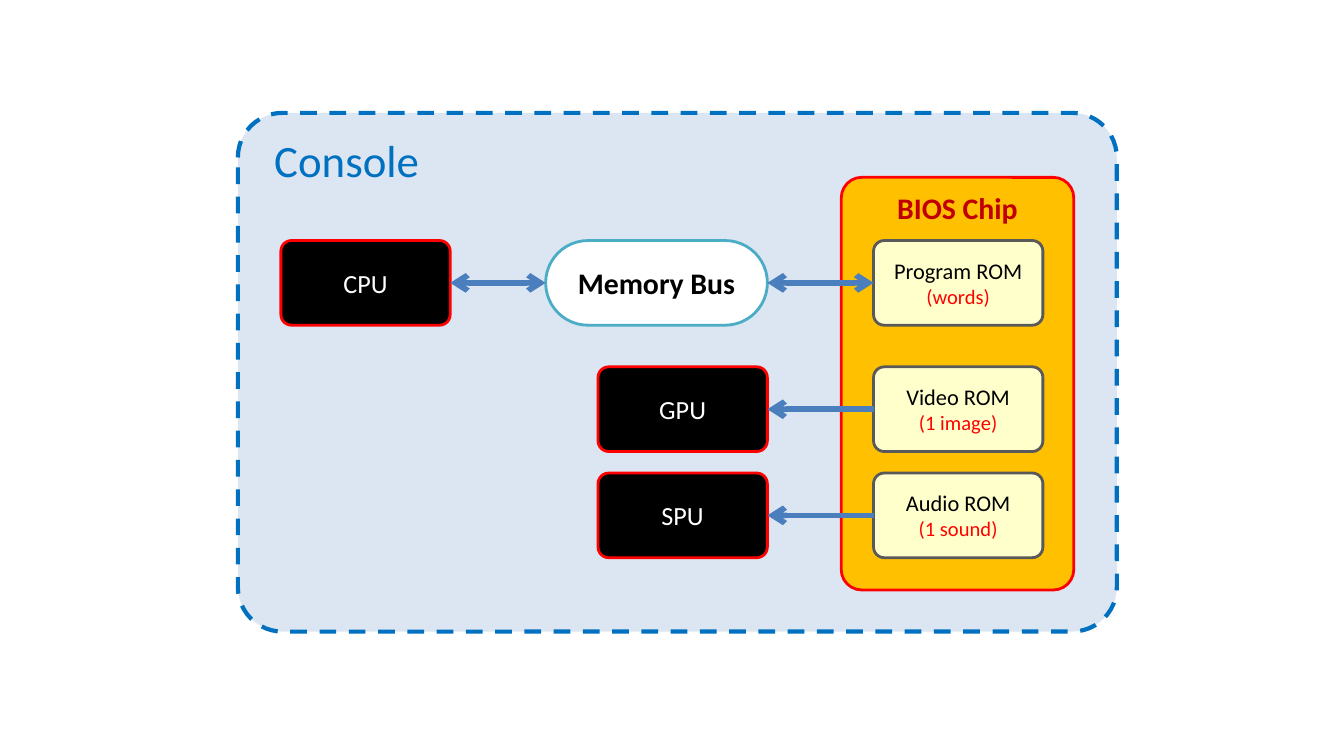
"""Build a slide showing how a console's processors reach the ROMs on its BIOS chip."""
import pptx
import pptx.dml.color
import pptx.enum.dml
import pptx.enum.shapes
import pptx.enum.text
import pptx.oxml
import pptx.oxml.ns
import pptx.util

Inches = pptx.util.Inches
RGBColor = pptx.dml.color.RGBColor
Anchor = pptx.enum.text.MSO_ANCHOR
Align = pptx.enum.text.PP_ALIGN

BLACK = RGBColor(0x00, 0x00, 0x00)
WHITE = RGBColor(0xFF, 0xFF, 0xFF)
RED = RGBColor(0xFF, 0x00, 0x00)
DARK_RED = RGBColor(0xC0, 0x00, 0x00)
BLUE = RGBColor(0x00, 0x70, 0xC0)
PALE_BLUE = RGBColor(0xDC, 0xE6, 0xF2)
ARROW_BLUE = RGBColor(0x4B, 0x7E, 0xBC)
TEAL = RGBColor(0x4B, 0xAC, 0xC6)
GOLD = RGBColor(0xFF, 0xC0, 0x00)
CREAM = RGBColor(0xFF, 0xFF, 0xCC)
GRAY = RGBColor(0x59, 0x59, 0x59)

SLIDE_WIDTH = 10
SLIDE_HEIGHT = SLIDE_WIDTH * 9 / 16
LEFT_SIDE, RIGHT_SIDE = 1, 3
BOX_WIDTH, BOX_HEIGHT = 1.26, 0.63
BUS_ROW, VIDEO_ROW, AUDIO_ROW = 1.79, 2.73, 3.52
CPU_LEFT, UNIT_LEFT, ROM_LEFT = 2.09, 4.45, 6.5


class Diagram:
    font_name = "Calibri"

    def __init__(self, slide):
        self.slide = slide

    def box(self, left, top, width, height, rounding, fill, outline, lines,
            weight=1.5, anchor=Anchor.MIDDLE, align=Align.CENTER, bold=False):
        shape = self.slide.shapes.add_shape(
            pptx.enum.shapes.MSO_SHAPE.ROUNDED_RECTANGLE,
            Inches(left), Inches(top), Inches(width), Inches(height))
        shape.adjustments[0] = rounding
        shape.shadow.inherit = False
        shape.fill.solid()
        shape.fill.fore_color.rgb = fill
        shape.line.color.rgb = outline
        shape.line.width = pptx.util.Pt(weight)
        frame = shape.text_frame
        frame.word_wrap = True
        frame.vertical_anchor = anchor
        for index, (text, size, color) in enumerate(lines):
            paragraph = frame.add_paragraph() if index else frame.paragraphs[0]
            paragraph.alignment = align
            run = paragraph.add_run()
            run.text = text
            run.font.name = self.font_name
            run.font.size = pptx.util.Pt(size)
            run.font.bold = bold
            run.font.color.rgb = color
        return shape

    def processor(self, left, top, name):
        return self.box(left, top, BOX_WIDTH, BOX_HEIGHT, 0.125, BLACK, RED,
                        [(name, 14, WHITE)])

    def rom(self, top, name, content):
        return self.box(ROM_LEFT, top, BOX_WIDTH, BOX_HEIGHT, 0.125, CREAM, GRAY,
                        [(name, 12, BLACK), (content, 11, RED)])

    def arrow(self, start, start_side, end, end_side, ends=("tailEnd",)):
        connector = self.slide.shapes.add_connector(
            pptx.enum.shapes.MSO_CONNECTOR.STRAIGHT, 0, 0, 0, 0)
        connector.begin_connect(start, start_side)
        connector.end_connect(end, end_side)
        connector.line.color.rgb = ARROW_BLUE
        connector.line.width = pptx.util.Pt(3)
        properties = connector._element.spPr
        line = properties.find(pptx.oxml.ns.qn("a:ln"))
        namespace = pptx.oxml.ns.nsdecls("a")
        for end_name in ends:
            line.append(pptx.oxml.parse_xml(f'<a:{end_name} {namespace} type="arrow"/>'))
        properties.append(pptx.oxml.parse_xml(f"<a:effectLst {namespace}/>"))


def main():
    presentation = pptx.Presentation()
    presentation.slide_width = Inches(SLIDE_WIDTH)
    presentation.slide_height = Inches(SLIDE_HEIGHT)
    diagram = Diagram(presentation.slides.add_slide(presentation.slide_layouts[6]))

    console = diagram.box(1.77, 0.84, 6.54, 3.86, 0.086, PALE_BLUE, BLUE,
                          [(" Console", 24, BLUE)], weight=2.25,
                          anchor=Anchor.TOP, align=Align.LEFT)
    console.line.dash_style = pptx.enum.dml.MSO_LINE.DASH
    diagram.box(6.26, 1.32, 1.73, 3.07, 0.088, GOLD, RED,
                [("BIOS Chip", 16, DARK_RED)], anchor=Anchor.TOP, bold=True)

    cpu = diagram.processor(CPU_LEFT, BUS_ROW, "CPU")
    memory_bus = diagram.box(4.06, BUS_ROW, 1.65, BOX_HEIGHT, 0.5, WHITE, TEAL,
                             [("Memory Bus", 16, BLACK)], bold=True)
    program_rom = diagram.rom(BUS_ROW, "Program ROM", "(words)")
    for start, end in ((cpu, memory_bus), (memory_bus, program_rom)):
        diagram.arrow(start, RIGHT_SIDE, end, LEFT_SIDE, ("headEnd", "tailEnd"))

    for top, unit_name, rom_name, content in (
            (VIDEO_ROW, "GPU", "Video ROM", "(1 image)"),
            (AUDIO_ROW, "SPU", "Audio ROM", "(1 sound)")):
        rom = diagram.rom(top, rom_name, content)
        unit = diagram.processor(UNIT_LEFT, top, unit_name)
        diagram.arrow(rom, LEFT_SIDE, unit, RIGHT_SIDE)

    presentation.save("out.pptx")


if __name__ == "__main__":
    main()
